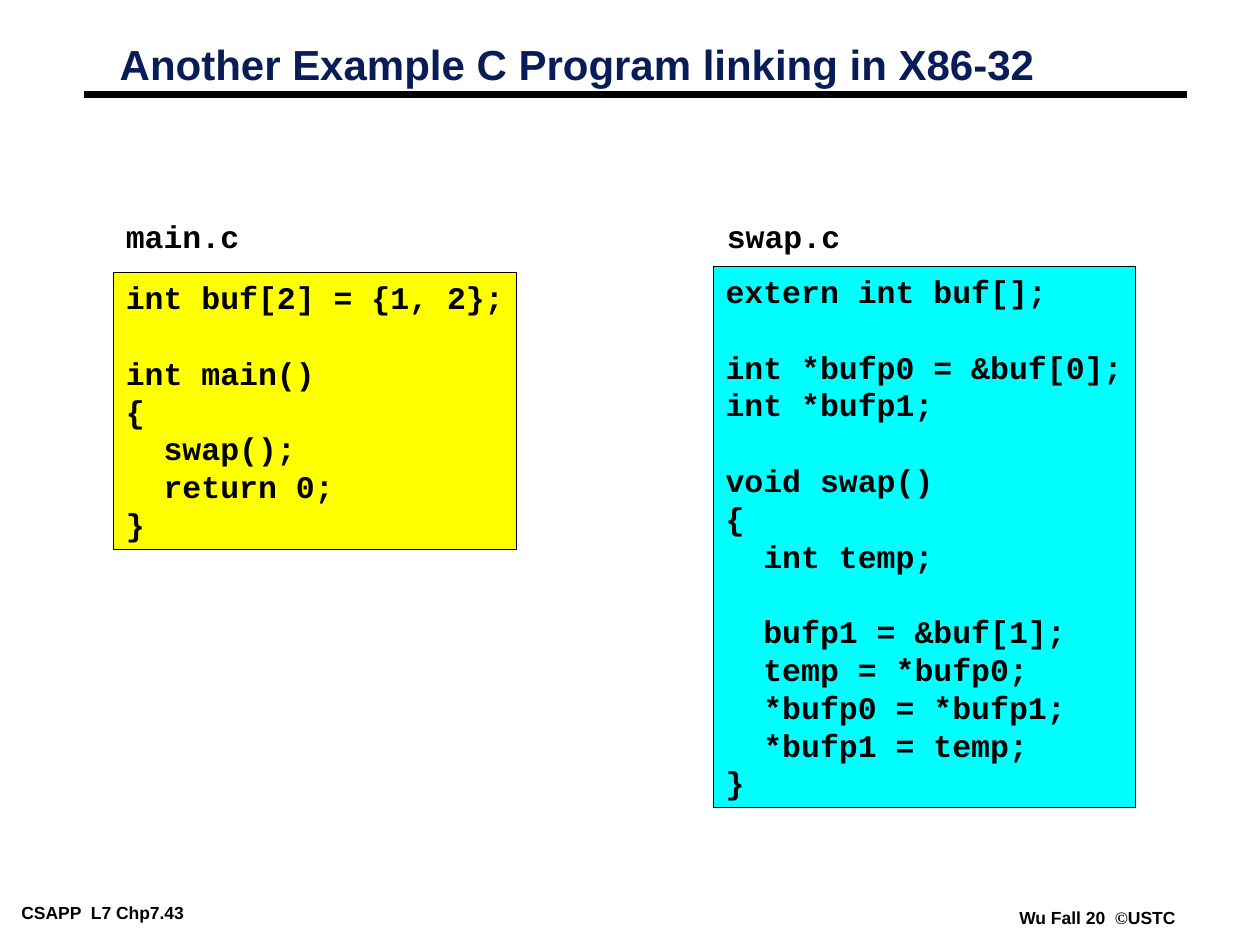
from dataclasses import dataclass
from typing import Optional

from lxml.etree import SubElement
from pptx import Presentation
from pptx.dml.color import RGBColor
from pptx.enum.shapes import MSO_CONNECTOR as Connector, MSO_SHAPE as Shape
from pptx.enum.text import MSO_ANCHOR as Anchor, MSO_AUTO_SIZE as AutoSize, PP_ALIGN as Align
from pptx.oxml.ns import qn
from pptx.util import Inches, Pt

COLORS = {
    "black": "000000",
    "white": "FFFFFF",
    "navy": "081D58",
    "yellow": "FFFF00",
    "cyan": "00FFFF",
}

MAIN_CODE = """int buf[2] = {1, 2};

int main()
{
  swap();
  return 0;
}"""

SWAP_CODE = """extern int buf[];

int *bufp0 = &buf[0];
int *bufp1;

void swap()
{
  int temp;

  bufp1 = &buf[1];
  temp = *bufp0;
  *bufp0 = *bufp1;
  *bufp1 = temp;
}"""


@dataclass
class CodeBox:
    text: str
    left: float
    top: float
    width: float
    height: float
    line: str
    fill: Optional[str] = None


@dataclass
class Footer:
    spans: list[tuple[str, str]]  # (text, font name)
    left: float
    top: float
    width: float


CODE_BOXES = [
    CodeBox(MAIN_CODE, 0.9, 2.16, 3.2, 2.2, "black", "yellow"),
    CodeBox("main.c", 0.9, 1.67, 1.1, 0.4, "white"),
    CodeBox("swap.c", 5.67, 1.67, 1.1, 0.4, "white"),
    CodeBox(SWAP_CODE, 5.66, 2.11, 3.35, 4.3, "black", "cyan"),
]

FOOTERS = [
    Footer([("CSAPP  L7 Chp7.43", "Arial")], 0.1, 7.13, 1.95),
    Footer([("Wu Fall 20  ", "Arial"), ("©", "Times New Roman"), ("USTC", "Arial")],
           8.02, 7.17, 1.38),
]


def rgb(name: str) -> RGBColor:
    return RGBColor.from_string(COLORS[name])


def set_font(font, size: float, color: str, name: Optional[str] = None) -> None:
    font.size = Pt(size)
    font.bold = True
    font.color.rgb = rgb(color)
    if name:
        font.name = name


def set_frame(frame, inset_x: float, inset_y: float, wrap: bool = False) -> None:
    frame.margin_left = frame.margin_right = Inches(inset_x)
    frame.margin_top = frame.margin_bottom = Inches(inset_y)
    frame.word_wrap = wrap
    frame.auto_size = AutoSize.NONE
    frame.vertical_anchor = Anchor.TOP


def add_title(page, text: str) -> None:
    title = page.shapes.title
    title.left, title.top = Inches(0.88), Inches(0.33)
    title.width, title.height = Inches(7.47), Inches(0.41)
    set_frame(title.text_frame, 0.07, 0.03, wrap=True)
    para = title.text_frame.paragraphs[0]
    para.text = text
    para.alignment = Align.LEFT
    para.line_spacing = 0.87
    set_font(para.font, 24, "navy", "Arial")


def add_title_rule(page) -> None:
    rule = page.shapes.add_connector(
        Connector.STRAIGHT, Inches(0.67), Inches(0.75), Inches(9.42), Inches(0.75))
    rule.line.color.rgb = rgb("black")
    rule.line.width = Pt(4.5)
    SubElement(rule._element.spPr, qn("a:effectLst"))


def add_code_box(page, code: CodeBox) -> None:
    box = page.shapes.add_shape(
        Shape.RECTANGLE, Inches(code.left), Inches(code.top),
        Inches(code.width), Inches(code.height))
    box.shadow.inherit = False
    box.line.color.rgb = rgb(code.line)
    box.line.width = Pt(0.25)
    if code.fill:
        box.fill.solid()
        box.fill.fore_color.rgb = rgb(code.fill)
    else:
        box.fill.background()
    set_frame(box.text_frame, 0.1, 0.05)
    box.text_frame.text = code.text
    for para in box.text_frame.paragraphs:
        para.alignment = Align.LEFT
        set_font(para.font, 18, "black", "Courier New")


def add_footer(page, footer: Footer) -> None:
    box = page.shapes.add_textbox(
        Inches(footer.left), Inches(footer.top), Inches(footer.width), Inches(0.22))
    set_frame(box.text_frame, 0.07, 0.03)
    para = box.text_frame.paragraphs[0]
    set_font(para.font, 10, "black")
    for text, font_name in footer.spans:
        span = para.add_run()
        span.text = text
        span.font.name = font_name


def main() -> None:
    deck = Presentation()
    deck.slide_width, deck.slide_height = Inches(10), Inches(7.5)
    page = deck.slides.add_slide(deck.slide_layouts.get_by_name("Title Only"))
    for footer in FOOTERS:
        add_footer(page, footer)
    add_title_rule(page)
    add_title(page, "Another Example C Program linking in X86-32")
    for code in CODE_BOXES:
        add_code_box(page, code)
    deck.save("out.pptx")


if __name__ == "__main__":
    main()
